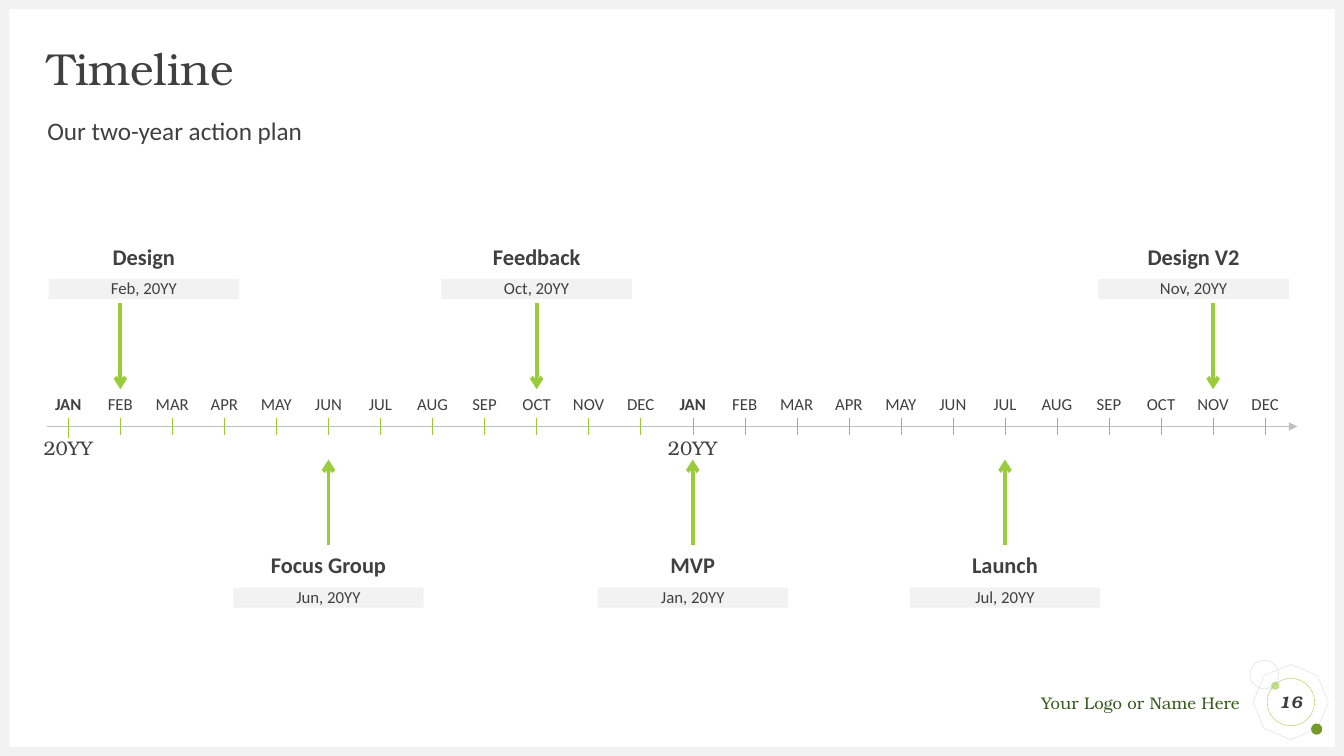
import dataclasses

import pptx
import pptx.dml.color
import pptx.enum.shapes
import pptx.enum.text
import pptx.oxml.ns
import pptx.oxml.xmlchemy
import pptx.util
from lxml import etree

Pt = pptx.util.Pt
RGB = pptx.dml.color.RGBColor.from_string
Preset = pptx.enum.shapes.MSO_SHAPE
Align = pptx.enum.text.PP_ALIGN
Anchor = pptx.enum.text.MSO_ANCHOR
qn = pptx.oxml.ns.qn


@dataclasses.dataclass(frozen=True)
class Theme:
    serif: str = "TeX Gyre Bonum"
    sans: str = "Calibri"
    ink: str = "404040"
    paper: str = "FFFFFF"
    panel: str = "F2F2F2"
    hairline: str = "D9D9D9"
    axis: str = "BFBFBF"
    later_tick: str = "A6A6A6"
    accent: str = "9ACB39"
    accent_light: str = "C2E088"
    accent_dark: str = "749A29"
    footer: str = "375C1E"
    title_size: float = 32
    subtitle_size: float = 18
    label_size: float = 16
    year_size: float = 14
    small_size: float = 12


THEME = Theme()
MONTHS = ["JAN", "FEB", "MAR", "APR", "MAY", "JUN",
          "JUL", "AUG", "SEP", "OCT", "NOV", "DEC"]
FIRST_MONTH_X = 48.8
MONTH_STEP = 37.17
AXIS_Y = 304.6
MILESTONES = [
    ("Design", "Feb, 20YY", 1, True, 16.8),
    ("Focus Group", "Jun, 20YY", 5, False, 0),
    ("Feedback", "Oct, 20YY", 9, True, 0),
    ("MVP", "Jan, 20YY", 12, False, 0),
    ("Launch", "Jul, 20YY", 18, False, 0),
    ("Design V2", "Nov, 20YY", 22, True, -13.9),
]


def month_x(index):
    return FIRST_MONTH_X + index * MONTH_STEP


def apply_format(target, values):
    for attribute, value in values.items():
        setattr(target, attribute, value)


def write(shape, text, size, family=THEME.sans, color=THEME.ink, bold=False,
          italic=False, align=Align.CENTER, anchor=Anchor.TOP,
          inset_top=0, spacing=0.9, before=10):
    frame = shape.text_frame
    apply_format(frame, {
        "word_wrap": True, "vertical_anchor": anchor,
        "margin_left": 0, "margin_right": 0,
        "margin_top": Pt(inset_top), "margin_bottom": 0,
    })
    paragraph = frame.paragraphs[0]
    apply_format(paragraph, {
        "alignment": align, "line_spacing": spacing, "space_before": Pt(before),
    })
    run = paragraph.add_run()
    run.text = text
    apply_format(run.font, {
        "name": family, "size": Pt(size), "bold": bold, "italic": italic,
    })
    run.font.color.rgb = RGB(color)


def add_text(slide, box, text, size, **style):
    write(slide.shapes.add_textbox(*map(Pt, box)), text, size, **style)


def add_figure(slide, preset, box, fill=None, outline=None, rotation=0):
    figure = slide.shapes.add_shape(preset, *map(Pt, box))
    figure.shadow.inherit = False
    figure.rotation = rotation
    if fill:
        figure.fill.solid()
        figure.fill.fore_color.rgb = RGB(fill)
    else:
        figure.fill.background()
    if outline:
        figure.line.color.rgb = RGB(outline)
        figure.line.width = Pt(0.25)
    else:
        figure.line.fill.background()
    return figure


def add_line(slide, start, end, color, width, head=None):
    line = slide.shapes.add_connector(
        pptx.enum.shapes.MSO_CONNECTOR.STRAIGHT, *map(Pt, start + end))
    line.line.color.rgb = RGB(color)
    line.line.width = Pt(width)
    properties = line._element.spPr
    if head:
        etree.SubElement(properties.find(qn("a:ln")), qn("a:tailEnd"), type=head)
    etree.SubElement(properties, qn("a:effectLst"))


def add_border(slide):
    for box in [(0, 533.4, 960, 6.6), (0, 0, 960, 6.6),
                (0, 0, 6.8, 540), (953.6, 0, 6.4, 540)]:
        add_figure(slide, Preset.RECTANGLE, box, fill=THEME.panel)


def add_footer(slide):
    add_figure(slide, Preset.OCTAGON, (897.1, 476.6, 49.7, 49.7),
               outline=THEME.hairline, rotation=22.7)
    add_figure(slide, Preset.OVAL, (908, 486.9, 5.8, 5.8), fill=THEME.accent_light)
    add_figure(slide, Preset.OVAL, (936.5, 516.8, 8, 8), fill=THEME.accent_dark)
    add_figure(slide, Preset.OVAL, (892.9, 471.6, 20.4, 20.4), outline=THEME.hairline)
    add_text(slide, (687.6, 494.6, 198, 14.4), "Your Logo or Name Here",
             THEME.small_size, family=THEME.serif, color=THEME.footer,
             align=Align.RIGHT, spacing=1, before=0)
    page_ring = add_figure(slide, Preset.OVAL, (905.2, 484.6, 33.8, 33.8),
                           outline=THEME.accent)
    write(page_ring, "16", THEME.small_size, family=THEME.serif, bold=True,
          italic=True, anchor=Anchor.MIDDLE, spacing=1, before=0)


def add_month(slide, index):
    x = month_x(index)
    year, month = divmod(index, len(MONTHS))
    opens_year = month == 0
    color, width = [(THEME.accent, 0.5), (THEME.later_tick, 0.25)][year]
    add_text(slide, (x - 14.8, 283, 29.5, 15.8), MONTHS[month],
             THEME.small_size, bold=opens_year)
    add_line(slide, (x, 298.8), (x, 313.2 if index == 0 else 311), color, width)
    if opens_year:
        add_text(slide, (x - 21.6, 313.2, 43.2, 15.8), "20YY", THEME.year_size,
                 family=THEME.serif, anchor=Anchor.MIDDLE)


def add_milestone(slide, name, date, month, above, shift):
    x = month_x(month)
    center = x + shift
    label_top = 172.8 if above else 393.1
    arrow_start, arrow_end = (216.7, 278) if above else (389.5, 328.3)
    add_text(slide, (center - 70.5, label_top, 141, 44), name, THEME.label_size,
             bold=True, inset_top=3)
    date_bar = add_figure(slide, Preset.RECTANGLE,
                          (center - 68, label_top + 26.6, 136, 14.4),
                          fill=THEME.panel)
    write(date_bar, date, THEME.small_size, anchor=Anchor.MIDDLE)
    add_line(slide, (x, arrow_start), (x, arrow_end), THEME.accent, 2.75, "arrow")


def main():
    deck = pptx.Presentation()
    apply_format(deck, {"slide_width": Pt(960), "slide_height": Pt(540)})
    slide = deck.slides.add_slide(deck.slide_layouts[6])
    slide.background.fill.solid()
    slide.background.fill.fore_color.rgb = RGB(THEME.paper)

    add_border(slide)
    add_footer(slide)
    add_text(slide, (33.8, 33.8, 892.8, 33.8), "Timeline", THEME.title_size,
             family=THEME.serif, align=Align.LEFT, anchor=Anchor.MIDDLE, before=0)
    add_text(slide, (33.8, 85, 892.8, 21.6), "Our two-year action plan",
             THEME.subtitle_size, align=Align.LEFT)
    add_line(slide, (33.8, AXIS_Y), (926.6, AXIS_Y), THEME.axis, 0.5, "triangle")
    for index in range(2 * len(MONTHS)):
        add_month(slide, index)
    for milestone in MILESTONES:
        add_milestone(slide, *milestone)

    deck.save("out.pptx")


if __name__ == "__main__":
    main()
